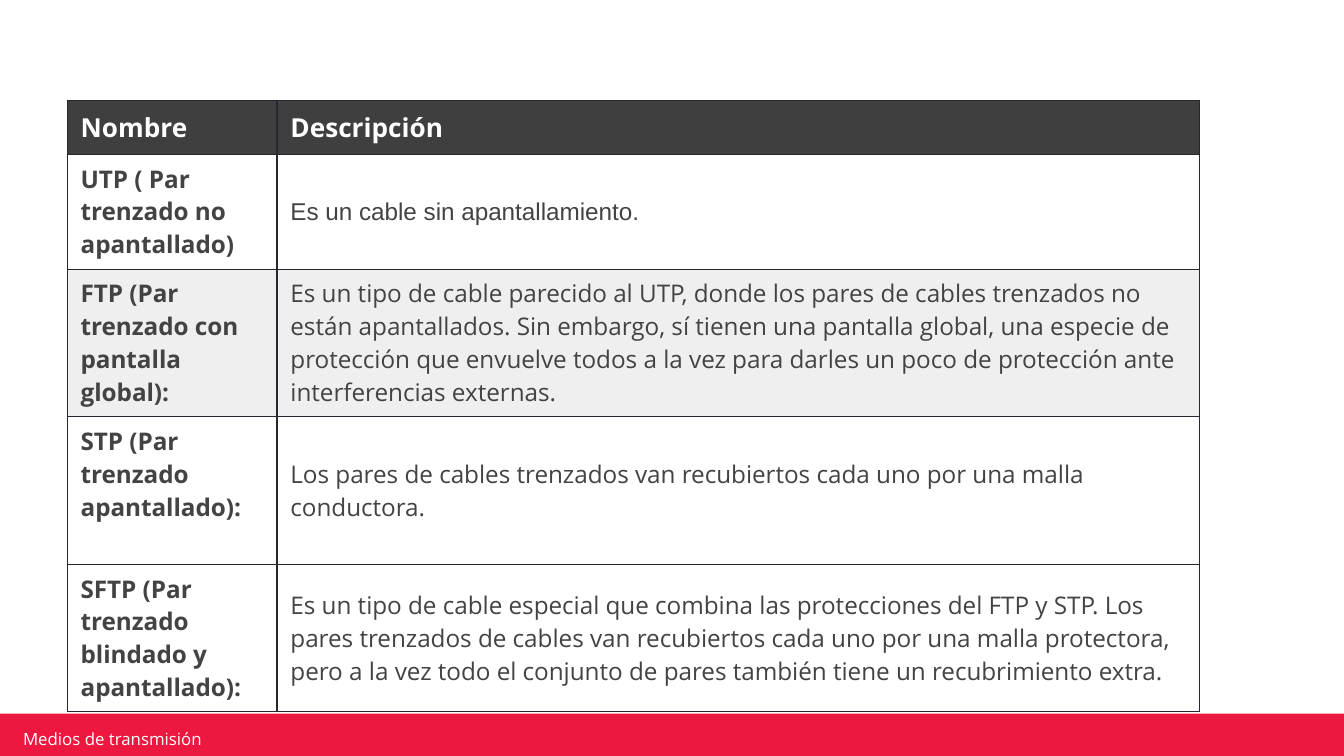
from dataclasses import dataclass
from lxml.etree import SubElement
from pptx import Presentation
from pptx.dml.color import RGBColor
from pptx.enum.shapes import MSO_SHAPE
from pptx.enum.text import MSO_ANCHOR
from pptx.oxml.ns import qn
from pptx.util import Pt


@dataclass(frozen=True)
class Theme:
    red: str = "EC183F"
    dark: str = "3F3F3F"
    band: str = "EFEFEF"
    ink: str = "434343"
    white: str = "FFFFFF"
    rule: str = "262831"
    font: str = "Open Sans"
    plain: str = "Arial"
    head: float = 14
    body: float = 13
    foot: float = 9


theme = Theme()

HEAD = ("Nombre", "Descripción")
CABLES = [
    ("UTP ( Par trenzado no apantallado)",
     "Es un cable sin apantallamiento."),
    ("FTP (Par trenzado con pantalla global):",
     "Es un tipo de cable parecido al UTP, donde los pares de cables "
     "trenzados no están apantallados. Sin embargo, sí tienen una pantalla "
     "global, una especie de protección que envuelve todos a la vez para "
     "darles un poco de protección ante interferencias externas."),
    ("STP (Par trenzado apantallado):",
     "Los pares de cables trenzados van recubiertos cada uno por una malla "
     "conductora."),
    ("SFTP (Par trenzado blindado y apantallado):",
     "Es un tipo de cable especial que combina las protecciones del FTP y "
     "STP. Los pares trenzados de cables van recubiertos cada uno por una "
     "malla protectora, pero a la vez todo el conjunto de pares también "
     "tiene un recubrimiento extra."),
]


def style(frame, text, size, color, bold=False, font=theme.font):
    frame.text = text
    frame.word_wrap = True
    for run in frame.paragraphs[0].runs:
        run.font.name = font
        run.font.size = Pt(size)
        run.font.bold = bold
        run.font.color.rgb = RGBColor.from_string(color)


def paint(fill, color):
    if color:
        fill.solid()
        fill.fore_color.rgb = RGBColor.from_string(color)
    else:
        fill.background()


def border(cell):
    props = cell._tc.get_or_add_tcPr()
    for side in ("lnL", "lnR", "lnT", "lnB"):
        line = SubElement(props, qn(f"a:{side}"), w=str(Pt(0.75)))
        solid = SubElement(line, qn("a:solidFill"))
        SubElement(solid, qn("a:srgbClr"), val=theme.rule)


def add_footer(slide, left, top, width, height):
    bar = slide.shapes.add_shape(
        MSO_SHAPE.RECTANGLE, Pt(left), Pt(top), Pt(width), Pt(height))
    bar.shadow.inherit = False
    paint(bar.fill, theme.red)
    bar.line.fill.background()
    label = slide.shapes.add_textbox(
        Pt(left + 10), Pt(top + 7.9), Pt(172), Pt(10.8))
    frame = label.text_frame
    style(frame, "Medios de transmisión", theme.foot, theme.white)
    frame.vertical_anchor = MSO_ANCHOR.MIDDLE
    frame.margin_left = frame.margin_right = Pt(3.6)
    frame.margin_top = frame.margin_bottom = Pt(1.8)


def add_cables(slide, left, top, width, height):
    rows = [HEAD, *CABLES]
    table = slide.shapes.add_table(
        len(rows), 2, Pt(left), Pt(top), Pt(width), Pt(height)).table
    table.first_row = table.horz_banding = False
    name = 112.4
    for col, size in zip(table.columns, (name, width - name)):
        col.width = Pt(size)
    head, short = 28.6, 61.6
    tall = (height - head - short) / 3
    for row, size in zip(table.rows, (head, short, tall, tall, tall)):
        row.height = Pt(size)
    for r, texts in enumerate(rows):
        for c, text in enumerate(texts):
            cell = table.cell(r, c)
            first = r == 0
            style(cell.text_frame, text,
                  theme.head if first else theme.body,
                  theme.white if first else theme.ink,
                  bold=first or c == 0,
                  font=theme.plain if (r, c) == (1, 1) else theme.font)
            cell.vertical_anchor = MSO_ANCHOR.MIDDLE
            cell.margin_left = cell.margin_right = Pt(7.2)
            cell.margin_top = cell.margin_bottom = Pt(4.3)
            border(cell)
            paint(cell.fill,
                  theme.dark if first else theme.band if r == 2 else None)
    table.cell(3, 0).margin_bottom = Pt(21.9)


deck = Presentation()
deck.slide_width, deck.slide_height = Pt(720), Pt(405)
slide = deck.slides.add_slide(deck.slide_layouts[6])
add_footer(slide, -1.2, 382.3, 722.4, 26)
add_cables(slide, 36, 54, 606.6, 327.4)
deck.save("out.pptx")
